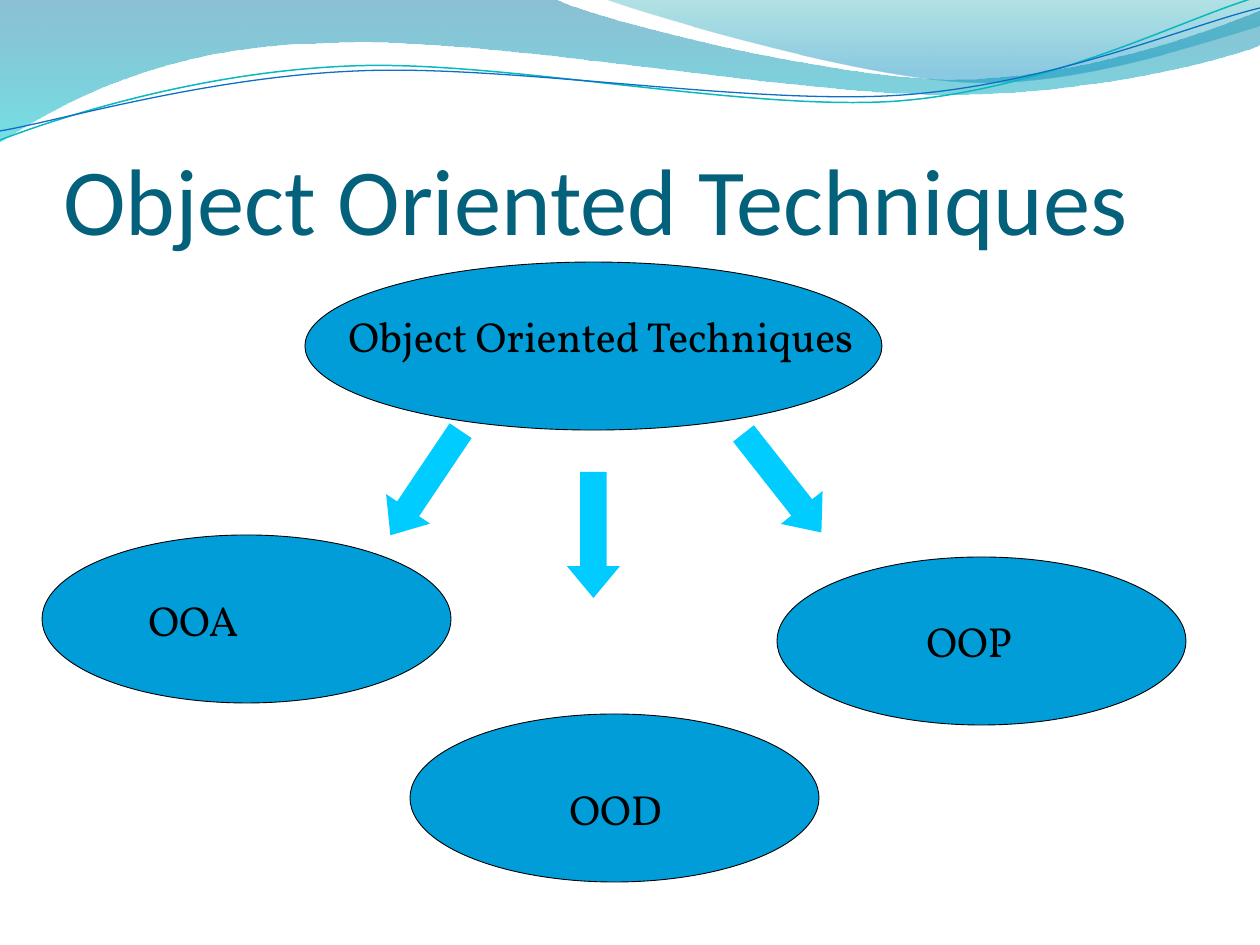
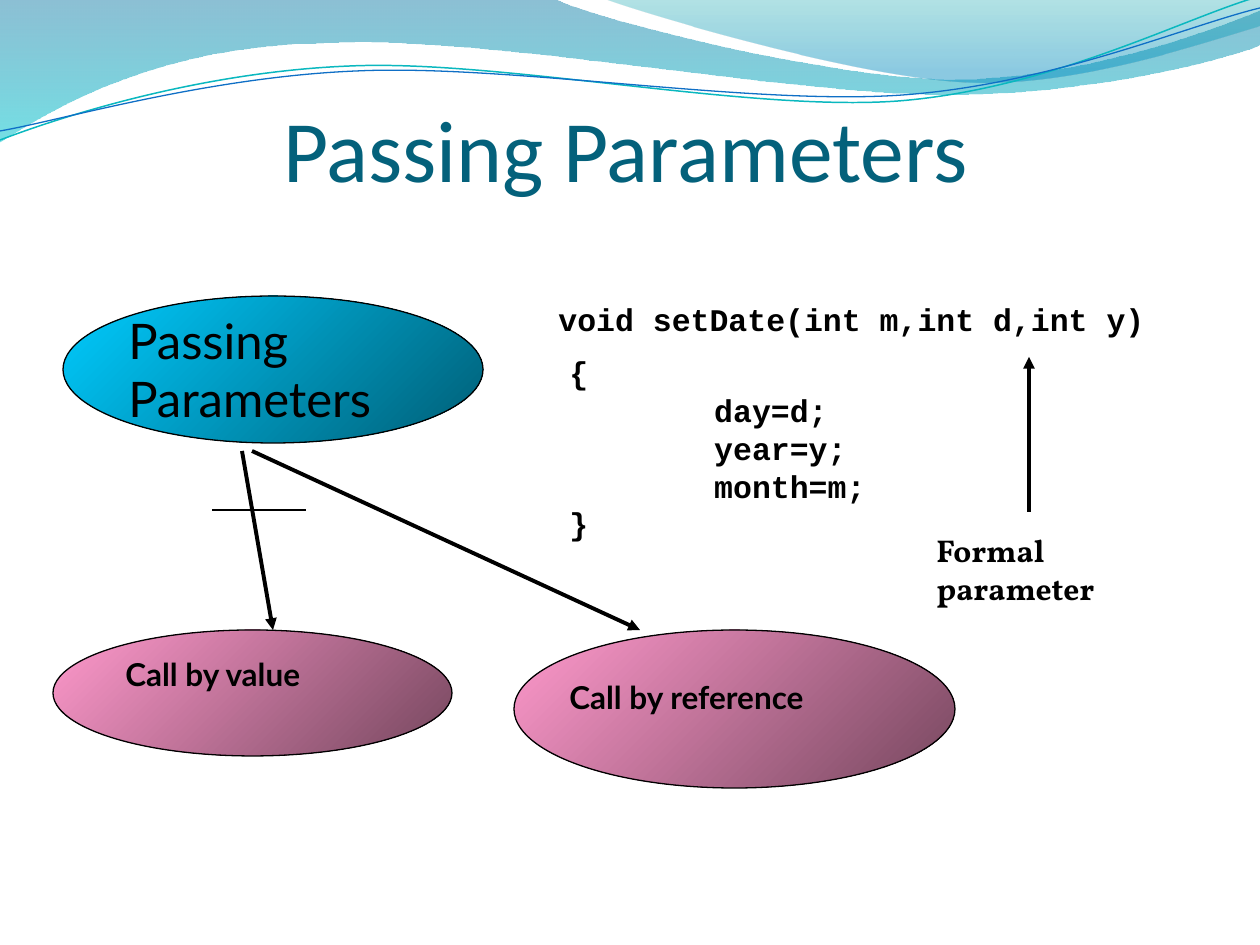
from lxml import etree
from pptx import Presentation
from pptx import util as u
from pptx.dml.color import RGBColor
from pptx.enum import shapes, text
from pptx.oxml import ns

EMU_PER_PX = 914400 / 126
TITLE_ONLY = 5

TITLE_COLOR = RGBColor(0x04, 0x61, 0x7B)
BLACK = RGBColor(0, 0, 0)
OVAL_BLUE = RGBColor(0x00, 0x9D, 0xD9)
ARROW_CYAN = RGBColor(0x00, 0xCC, 0xFF)
DEEP_CYAN = RGBColor(0x00, 0x5E, 0x76)
PINK = RGBColor(0xFF, 0x99, 0xCC)
PLUM = RGBColor(0x76, 0x47, 0x5E)
WAVE_TEAL = RGBColor(0x0A, 0xB8, 0xBF)
WAVE_BLUE = RGBColor(0x0F, 0x6F, 0xC6)

# Each gradient stop: position, colour, opacity in percent.
BAND_STOPS = [(0, RGBColor(0x00, 0x74, 0xA1), 45),
              (1, RGBColor(0x00, 0xC6, 0xCF), 55)]
CORNER_STOPS = [(0, RGBColor(0x00, 0xA1, 0xA9), 30),
                (0.8, RGBColor(0x00, 0x8B, 0xBF), 45)]
CYAN_STOPS = [(0, ARROW_CYAN, 100), (1, DEEP_CYAN, 100)]
PINK_STOPS = [(0, PINK, 100), (1, PLUM, 100)]

# Outlines: a segment of one point is straight, of three points a Bezier curve.
BAND = [[(0, 0)], [(554, -1)],
        [(600, 21), (837, 79), (955, 79)],
        [(1074, 79), (1207, 33), (1260, 11)], [(1261, 45)],
        [(1239, 55), (1096, 96), (940, 94)],
        [(784, 94), (481, 35), (324, 43)],
        [(163, 45), (58, 105), (-1, 142)], [(0, 0)]]
CORNER = [[(604, -1)],
          [(643, 14), (859, 78), (969, 82)],
          [(1077, 87), (1211, 40), (1260, 26)], [(1260, 0)], [(604, -1)]]
TEAL_WAVE = [[(0, 140)],
             [(60, 117), (199, 72), (349, 66)],
             [(498, 59), (747, 112), (898, 101)],
             [(1050, 89), (1182, 19), (1257, -3)]]
BLUE_WAVE = [[(0, 131)],
             [(59, 121), (207, 77), (357, 71)],
             [(508, 64), (752, 106), (903, 95)],
             [(1053, 84), (1186, 26), (1260, 8)]]


def px(*lengths):
    return [u.Emu(round(length * EMU_PER_PX)) for length in lengths]


def fill_gradient(shape, stops, angle):
    """Fill with two stops; the angle runs clockwise from left to right."""
    shape.fill.gradient()
    shape.fill.gradient_angle = 360 - angle
    for stop, (position, color, _) in zip(shape.fill.gradient_stops, stops):
        stop.position = position
        stop.color.rgb = color
    for node, (_, _, opacity) in zip(shape.element.iter(ns.qn("a:gs")), stops):
        if opacity < 100:
            etree.SubElement(node[0], ns.qn("a:alpha"), val=str(opacity * 1000))


def set_line(shape, color, width):
    shape.line.color.rgb = color
    shape.line.width = u.Pt(width)


def add_outline(slide, segments, closed):
    """Draw straight segments through all points, then join threes into curves."""
    start, *points = [px(*point) for segment in segments for point in segment]
    builder = slide.shapes.build_freeform(*start, scale=1.0)
    builder.add_line_segments(points, close=closed)
    shape = builder.convert_to_shape()
    shape.shadow.inherit = False
    steps = iter(list(shape.element.iter(ns.qn("a:lnTo"))))
    for segment in segments[1:]:
        lines = [next(steps) for _ in segment]
        if len(lines) == 3:
            curve = etree.Element(ns.qn("a:cubicBezTo"))
            lines[0].addprevious(curve)
            for line in lines:
                curve.append(line[0])
                line.getparent().remove(line)
    return shape


def add_waves(slide, layout):
    """Build the header waves and move them to the layout both slides use."""
    waves = []
    for segments, stops in ((BAND, BAND_STOPS), (CORNER, CORNER_STOPS)):
        shape = add_outline(slide, segments, True)
        fill_gradient(shape, stops, 90)
        shape.line.fill.background()
        waves.append(shape)
    for segments, color, width in ((TEAL_WAVE, WAVE_TEAL, 0.85),
                                   (BLUE_WAVE, WAVE_BLUE, 0.75)):
        shape = add_outline(slide, segments, False)
        shape.fill.background()
        set_line(shape, color, width)
        waves.append(shape)
    for placeholder in list(layout.placeholders)[1:]:
        layout.shapes.element.remove(placeholder.element)
    for shape in waves:
        layout.shapes.element.append(shape.element)


def add_tab_stop(paragraph, position):
    properties = paragraph._p.get_or_add_pPr()
    tabs = etree.SubElement(properties, ns.qn("a:tabLst"))
    etree.SubElement(tabs, ns.qn("a:tab"), pos=str(position), algn="l")


def format_text(frame, font_name, size, color, bold=False,
                align=text.PP_ALIGN.LEFT, line_spacing=None, tab_stop=None):
    for paragraph in frame.paragraphs:
        paragraph.alignment = align
        if line_spacing:
            paragraph.line_spacing = u.Pt(line_spacing)
        if tab_stop:
            add_tab_stop(paragraph, tab_stop)
        for run in paragraph.runs:
            run.font.name = font_name
            run.font.size = u.Pt(size)
            run.font.bold = bold
            run.font.color.rgb = color


def set_title(slide, words, box, size):
    title = slide.shapes.title
    title.left, title.top, title.width, title.height = px(*box)
    frame = title.text_frame
    frame.text = words
    frame.auto_size = text.MSO_AUTO_SIZE.NONE
    frame.vertical_anchor = text.MSO_ANCHOR.BOTTOM
    frame.margin_left = frame.margin_right = frame.margin_bottom = 0
    frame.margin_top = u.Inches(0.05)
    format_text(frame, "Calibri", size, TITLE_COLOR)


def add_text(slide, words, box, font_name, size, **style):
    frame = slide.shapes.add_textbox(*px(*box)).text_frame
    frame.word_wrap = True
    frame.text = words
    format_text(frame, font_name, size, BLACK, **style)


def add_oval(slide, box, line_width, stops=None):
    oval = slide.shapes.add_shape(shapes.MSO_SHAPE.OVAL, *px(*box))
    oval.shadow.inherit = False
    if stops:
        fill_gradient(oval, stops, 45)
    else:
        oval.fill.solid()
        oval.fill.fore_color.rgb = OVAL_BLUE
    set_line(oval, BLACK, line_width)


def add_block_arrow(slide, left, top, rotation):
    arrow = slide.shapes.add_shape(shapes.MSO_SHAPE.DOWN_ARROW, *px(left, top, 53, 126))
    arrow.shadow.inherit = False
    arrow.adjustments[0], arrow.adjustments[1] = 0.5, 0.6
    arrow.rotation = rotation
    arrow.fill.solid()
    arrow.fill.fore_color.rgb = ARROW_CYAN
    arrow.line.fill.background()


def add_line(slide, ends, width, arrowhead=True):
    line = slide.shapes.add_connector(shapes.MSO_CONNECTOR.STRAIGHT, *px(*ends))
    set_line(line, BLACK, width)
    properties = line.element.spPr
    if arrowhead:
        etree.SubElement(properties.find(ns.qn("a:ln")), ns.qn("a:tailEnd"), type="triangle")
    etree.SubElement(properties, ns.qn("a:effectLst"))


def build_techniques(slide):
    set_title(slide, "Object Oriented Techniques", (63, 97, 1144, 157), 54)
    for box in ((305, 262, 577, 168), (410, 714, 409, 168),
                (42, 535, 409, 168), (777, 557, 409, 168)):
        add_oval(slide, box, 0.5)
    for words, left, top, width in (("Object Oriented Techniques", 336, 304, 557),
                                    ("OOA", 136, 588, 179),
                                    ("OOD", 557, 777, 221),
                                    ("OOP", 914, 609, 242)):
        add_text(slide, words, (left, top, width, 63), "Vollkorn", 24)
    for left, top, rotation in ((567, 472, 0), (399, 420, 33.9), (756, 420, 321.8)):
        add_block_arrow(slide, left, top, rotation)


def build_parameters(slide):
    set_title(slide, "Passing Parameters", (283, 84, 692, 116), 50)
    add_oval(slide, (63, 296, 420, 147), 0.75, CYAN_STOPS)
    add_oval(slide, (514, 630, 441, 158), 0.75, PINK_STOPS)
    add_oval(slide, (53, 630, 399, 126), 0.75, PINK_STOPS)
    add_line(slide, (252, 451, 640, 630), 2.25)
    add_line(slide, (242, 451, 273, 630), 2.25)
    add_text(slide, "Passing Parameters", (116, 304, 294, 130), "Lato", 28)
    add_text(slide, "Call by value", (113, 649, 325, 63), "Lato", 18, bold=True)
    add_text(slide, "Call by reference", (557, 672, 399, 63), "Lato", 18, bold=True)
    add_line(slide, (306, 510, 212, 510), 0.75, arrowhead=False)
    add_line(slide, (1029, 512, 1029, 357), 2.25)

    justified = {"bold": True, "align": text.PP_ALIGN.JUSTIFY}
    code = {**justified, "line_spacing": 21.6}
    add_text(slide, "{\n\t day=d;\n\t year=y;\n\t month=m;\n}",
             (557, 347, 514, 202), "Courier New", 18, tab_stop=u.Inches(1), **code)
    add_text(slide, "void setDate(int m,int d,int y)",
             (546, 294, 640, 50), "Courier New", 18, **code)
    add_text(slide, "Formal parameter", (924, 525, 283, 50), "Vollkorn", 18, **justified)


def main():
    presentation = Presentation()
    presentation.slide_width, presentation.slide_height = px(1260, 945)
    layout = presentation.slide_layouts[TITLE_ONLY]
    techniques, parameters = [presentation.slides.add_slide(layout) for _ in range(2)]
    add_waves(techniques, layout)
    build_techniques(techniques)
    build_parameters(parameters)
    presentation.save("out.pptx")


if __name__ == "__main__":
    main()
